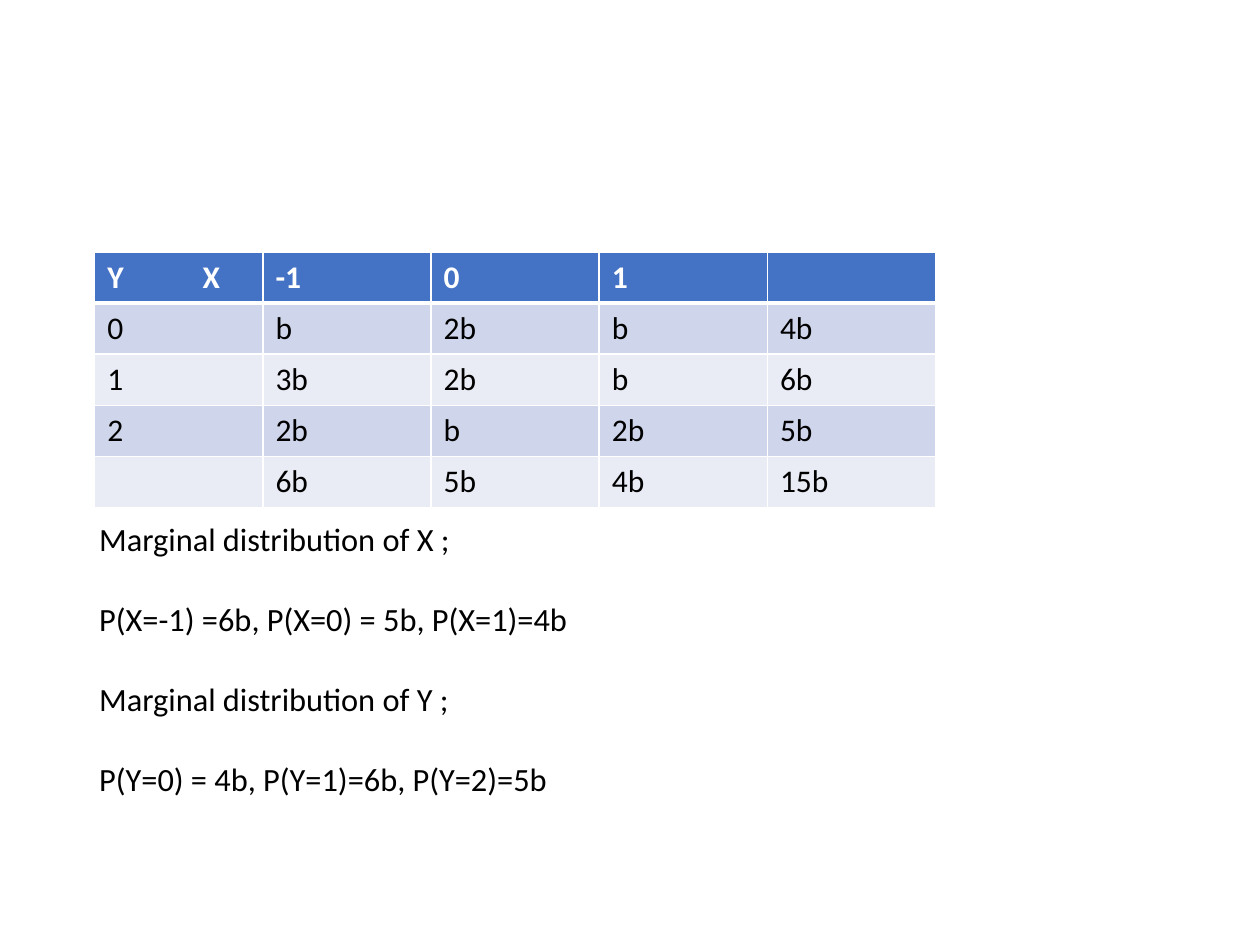
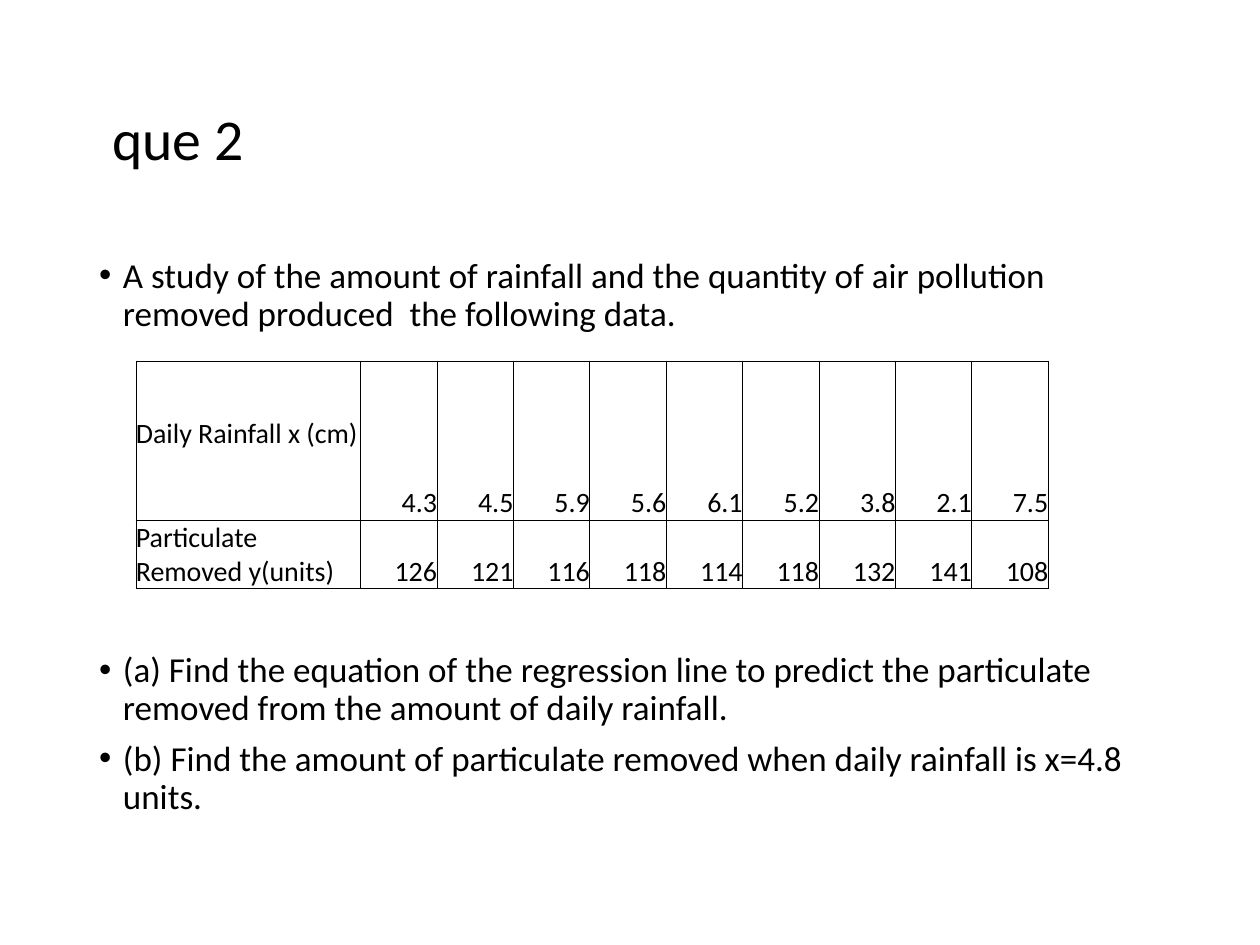
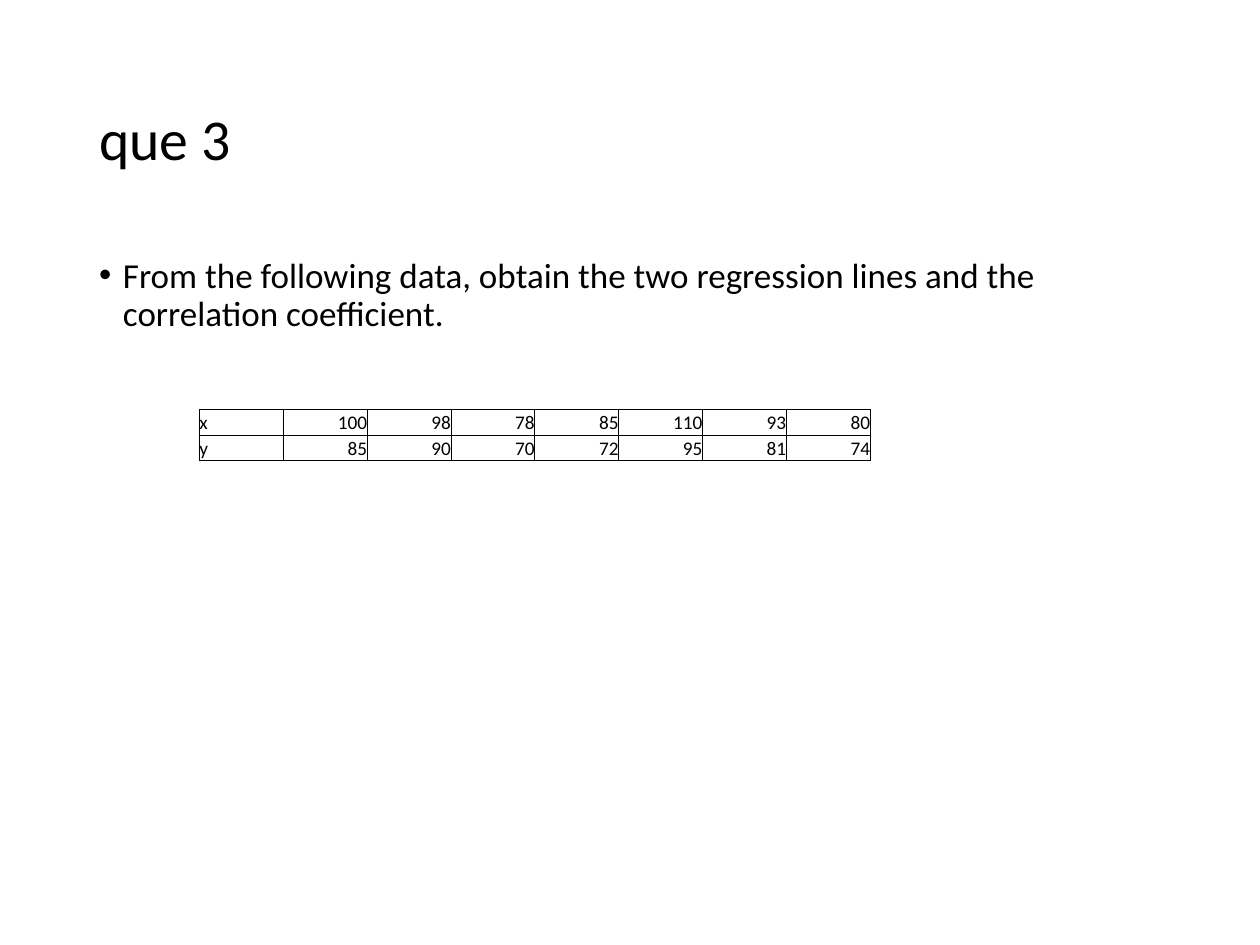
from lxml.etree import SubElement
from pptx import Presentation
from pptx.dml.color import RGBColor
from pptx.enum.text import MSO_ANCHOR, PP_ALIGN
from pptx.oxml.ns import qn
from pptx.util import Cm, Pt

FONT = "Calibri"
COLORS = {"text": "000000", "white": "FFFFFF", "header": "4472C4",
          "band_dark": "CFD5EA", "band_light": "E9EBF5"}
TITLE_BOX = (1.75, 1.01, 21.9, 3.68)
BODY_BOX = (1.75, 5.08, 21.9, 12.09)
HANG = 0.48

JOINT = [
    ["Y\tX", "-1", "0", "1", ""],
    ["0", "b", "2b", "b", "4b"],
    ["1", "3b", "2b", "b", "6b"],
    ["2", "2b", "b", "2b", "5b"],
    ["", "6b", "5b", "4b", "15b"],
]
MARGINALS = [
    "Marginal distribution of X ;",
    "P(X=-1) =6b, P(X=0) = 5b, P(X=1)=4b",
    "Marginal distribution of Y ;",
    "P(Y=0) = 4b, P(Y=1)=6b, P(Y=2)=5b",
]
RAIN_TASKS = [
    "A study of the amount of rainfall and the quantity of air pollution "
    "removed produced  the following data.",
    "(a) Find the equation of the regression line to predict the particulate "
    "removed from the amount of daily rainfall.",
    "(b) Find the amount of particulate removed when daily rainfall is x=4.8 units.",
]
RAINFALL = [
    ["Daily Rainfall x (cm)", 4.3, 4.5, 5.9, 5.6, 6.1, 5.2, 3.8, 2.1, 7.5],
    ["Particulate Removed y(units)", 126, 121, 116, 118, 114, 118, 132, 141, 108],
]
REGRESSION_TASKS = [
    "From the following data, obtain the two regression lines and the "
    "correlation coefficient.",
]
REGRESSION = [
    ["x", 100, 98, 78, 85, 110, 93, 80],
    ["y", 85, 90, 70, 72, 95, 81, 74],
]


def rgb(name):
    return RGBColor.from_string(COLORS[name])


def style(p, size, color="text", bold=False):
    for r in p.runs:
        r.font.name, r.font.size, r.font.bold = FONT, Pt(size), bold
        r.font.color.rgb = rgb(color)


def add_bullet(p):
    pPr = p._p.get_or_add_pPr()
    pPr.set("marL", str(Cm(HANG)))
    pPr.set("indent", str(-Cm(HANG)))
    SubElement(pPr, qn("a:buFont")).set("typeface", "Arial")
    SubElement(pPr, qn("a:buChar")).set("char", "•")


def add_tab_stop(p, pos):
    tabs = SubElement(p._p.get_or_add_pPr(), qn("a:tabLst"))
    tab = SubElement(tabs, qn("a:tab"))
    tab.set("pos", str(Cm(pos)))
    tab.set("algn", "l")


def set_borders(cell, color, width, bottom=None):
    tcPr = cell._tc.get_or_add_tcPr()
    for side in "LRTB":
        ln = SubElement(tcPr, qn(f"a:ln{side}"))
        ln.set("w", str(Pt(bottom if side == "B" and bottom else width)))
        fill = SubElement(ln, qn("a:solidFill"))
        SubElement(fill, qn("a:srgbClr")).set("val", COLORS[color])


def add_text(s, box, lines, size, spacing=0.9, gaps=None, bullets=False):
    """Add one paragraph per line; gaps maps a line index to its space before."""
    tf = s.shapes.add_textbox(*map(Cm, box)).text_frame
    tf.word_wrap = True
    tf.text = "\n".join(lines)
    for i, p in enumerate(tf.paragraphs):
        p.line_spacing = spacing
        p.space_before = Pt((gaps or {}).get(i, 7.5 if i else 0))
        if bullets:
            add_bullet(p)
        style(p, size)
    return tf


def add_title(s, text):
    tf = add_text(s, TITLE_BOX, [text], 33)
    tf.vertical_anchor = MSO_ANCHOR.MIDDLE


def add_grid(s, left, top, widths, heights, rows):
    """Add a table without the default banding and return it."""
    tbl = s.shapes.add_table(len(rows), len(widths), Cm(left), Cm(top),
                             Cm(sum(widths)), Cm(sum(heights))).table
    tbl.first_row = tbl.horz_banding = False
    for col, w in zip(tbl.columns, widths):
        col.width = Cm(w)
    for row, h, values in zip(tbl.rows, heights, rows):
        row.height = Cm(h)
        for cell, value in zip(row.cells, values):
            cell.text = str(value)
    return tbl


def add_banded_table(s, left, top, widths, heights, rows):
    tbl = add_grid(s, left, top, widths, heights, rows)
    for i, row in enumerate(tbl.rows):
        head = i == 0
        band = "header" if head else "band_dark" if i % 2 else "band_light"
        for cell in row.cells:
            set_borders(cell, "white", 1, bottom=3 if head else None)
            cell.fill.solid()
            cell.fill.fore_color.rgb = rgb(band)
            style(cell.text_frame.paragraphs[0], 18,
                  "white" if head else "text", head)
    return tbl


def add_data_table(s, left, top, widths, heights, rows, size):
    """Add a black-ruled table: labels on the left, numbers to the right."""
    tbl = add_grid(s, left, top, widths, heights, rows)
    for row in tbl.rows:
        for j, cell in enumerate(row.cells):
            set_borders(cell, "text", 0.5)
            cell.fill.background()
            cell.margin_left = cell.margin_right = 0
            cell.margin_top = cell.margin_bottom = 0
            cell.vertical_anchor = MSO_ANCHOR.BOTTOM
            p = cell.text_frame.paragraphs[0]
            p.alignment = PP_ALIGN.RIGHT if j else PP_ALIGN.LEFT
            style(p, size)
    return tbl


def joint_slide(s):
    gaps = {i: 30.2 for i in range(1, len(MARGINALS))}
    tf = add_text(s, BODY_BOX, MARGINALS, 18.5, 0.7, gaps)
    tf.margin_top = Cm(5.59)
    tbl = add_banded_table(s, 1.91, 5.08, [3.39] * 5, [1.03] * 5, JOINT)
    add_tab_stop(tbl.cell(0, 0).text_frame.paragraphs[0], 1.92)


def rainfall_slide(s):
    add_title(s, " que 2")
    add_text(s, BODY_BOX, RAIN_TASKS, 20, gaps={1: 182}, bullets=True)
    tbl = add_data_table(s, 2.74, 7.28, [4.53] + [1.54] * 9, [3.21, 1.38],
                         RAINFALL, 16)
    tbl.cell(0, 0).margin_bottom = Cm(1.39)


def regression_slide(s):
    add_title(s, "que 3")
    add_text(s, BODY_BOX, REGRESSION_TASKS, 20, bullets=True)
    add_data_table(s, 4.02, 8.25, [1.69] * 8, [0.52] * 2, REGRESSION, 11)


def main():
    prs = Presentation()
    prs.slide_width, prs.slide_height = Cm(25.4), Cm(19.05)
    for build in (joint_slide, rainfall_slide, regression_slide):
        build(prs.slides.add_slide(prs.slide_layouts[6]))
    prs.save("out.pptx")


if __name__ == "__main__":
    main()
